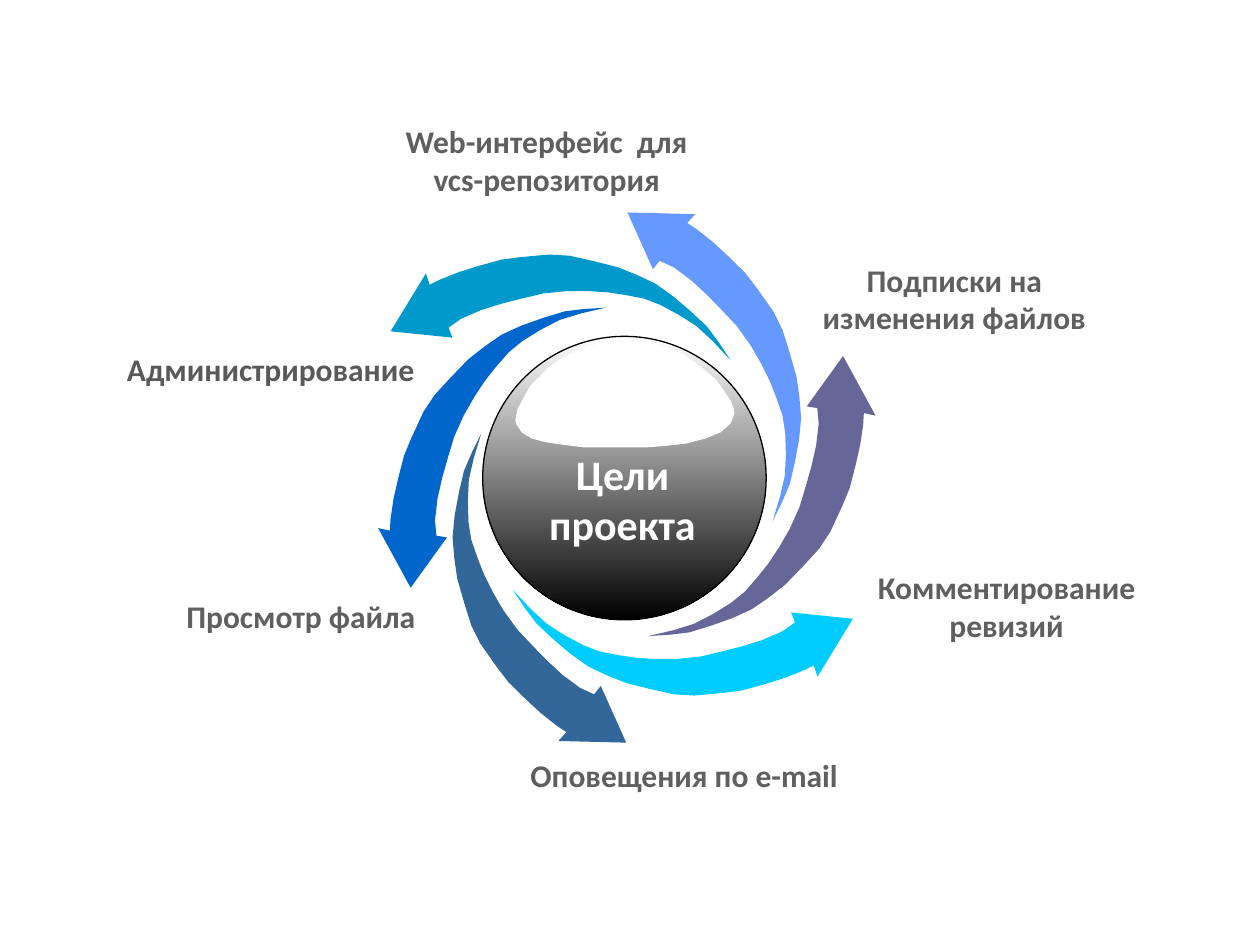
from pptx import Presentation
from pptx import util as u
from pptx.dml.color import RGBColor
from pptx.enum import shapes, text

Pt = u.Pt

THEME = {
    "font": "Calibri",
    "label_size": 18,
    "center_size": 24,
    "label": "5F5F5F",
    "label_dark": "595959",
    "white": "FFFFFF",
    "black": "000000",
}

# left, top, colour; each arrow turns 60 degrees further than the one before
ARROWS = [
    (293, 337, "00CCFF"),
    (200.2, 316.8, "336699"),
    (174.2, 214.6, "0066CC"),
    (223.2, 145.4, "0099CC"),
    (321.8, 168.5, "6699FF"),
    (347.8, 264.2, "666699"),
]
ARROW_TURN = 60
ARROW_OUTLINE = [
    # head
    (161.3, 18.7), (159.1, 13), (194.4, 16.6), (174.2, 49.7), (172.1, 43.2),
    # outer edge
    (166.3, 46.1), (155.5, 50.4), (144, 54), (131, 57.6), (120.2, 59),
    (109.4, 60), (103.7, 60.5), (92.2, 59.8), (79.2, 56.9), (64.8, 53.3),
    (54, 49), (43.2, 43.9), (33.1, 36.7), (23, 28.1), (13.7, 19.4),
    (7.2, 10.8), (0, 0),
    # inner edge
    (10.1, 10.8), (19.4, 19.4), (29.5, 25.9), (40.3, 31.7), (49.7, 35.3),
    (60.5, 37.4), (70.6, 38.9), (81.4, 39.6), (93.6, 39.6), (107.3, 38.2),
    (119.5, 35.3), (131, 32.4), (142.6, 28.8), (154.1, 23.8),
]

BALL = (275.8, 192.2, 162, 162)
GLOSS_AT = (294.5, 194.4)
GLOSS_OUTLINE = [
    (124.6, 38.2), (125.3, 41.8), (123.1, 47.5), (117.4, 52.6), (108.7, 56.2),
    (97.9, 59), (85, 60.5), (75.6, 61.2), (38.9, 61.2), (27.4, 59.8),
    (17.3, 58.3), (9.4, 56.2), (3.6, 52.6), (0.7, 48.2), (0, 45.4),
    (1.4, 38.9), (5, 32.4), (8.6, 25.9), (13.7, 20.9), (19.4, 15.1),
    (25.9, 10.8), (32.4, 7.2), (39.6, 4.3), (46.8, 2.2), (54.7, 0.7),
    (63.4, 0), (72, 0.7), (79.9, 2.2), (88.6, 5), (95.8, 7.9),
    (102.2, 12.2), (108.7, 17.3), (114.5, 22.3), (118.8, 28.1), (123.1, 34.6),
]

CENTER, LEFT = text.PP_ALIGN.CENTER, text.PP_ALIGN.LEFT
LABEL = {"size": "label_size", "color": "label", "align": CENTER, "wrap": False}
# box (left, top, width, height), lines, differences from LABEL
LABELS = [
    ((493.9, 321.1, 162.7, 51), ["Комментирование", "ревизий"], {}),
    ((223.9, 66.2, 177.1, 51), ["Web-интерфейс  для", "vcs-репозитория"], {}),
    ((65.5, 196.6, 180, 29), ["Администрирование"],
     {"align": LEFT, "color": "label_dark"}),
    ((99.4, 337.7, 198, 29), ["Просмотр файла"], {"align": LEFT, "wrap": True}),
    ((295.2, 428.4, 191.5, 29), ["Оповещения по e-mail"], {}),
    ((280.8, 252.7, 149.8, 65.5), ["Цели проекта"],
     {"size": "center_size", "color": "white", "wrap": True}),
    ((462.2, 145.4, 166.3, 51), ["Подписки на", "изменения файлов"], {"wrap": True}),
]


def rgb(value):
    return RGBColor.from_string(value)


def add_outline(parent, points, left, top, color):
    """Add a closed, filled freeform whose points are relative to left, top."""
    scaled = [(Pt(x), Pt(y)) for x, y in points]
    builder = parent.build_freeform(*scaled[0])
    builder.add_line_segments(scaled[1:], close=True)
    shape = builder.convert_to_shape(Pt(left), Pt(top))
    shape.shadow.inherit = False
    shape.fill.solid()
    shape.fill.fore_color.rgb = rgb(color)
    shape.line.fill.background()
    return shape


def add_ball(slide):
    group = slide.shapes.add_group_shape()
    ball = group.shapes.add_shape(shapes.MSO_SHAPE.OVAL, *map(Pt, BALL))
    ball.shadow.inherit = False
    ball.fill.gradient()
    ball.fill.gradient_angle = 270
    for stop, color in zip(ball.fill.gradient_stops, ("white", "black")):
        stop.color.rgb = rgb(THEME[color])
    ball.line.color.rgb = rgb(THEME["black"])
    ball.line.width = Pt(0.75)
    add_outline(group.shapes, GLOSS_OUTLINE, *GLOSS_AT, THEME["white"])


def add_label(slide, box, lines, changes):
    style = {**LABEL, **changes}
    frame = slide.shapes.add_textbox(*map(Pt, box)).text_frame
    frame.word_wrap = style["wrap"]
    frame.auto_size = text.MSO_AUTO_SIZE.SHAPE_TO_FIT_TEXT
    frame.text = "\n".join(lines)
    font_format = {"name": THEME["font"], "size": Pt(THEME[style["size"]]), "bold": True}
    for paragraph in frame.paragraphs:
        paragraph.alignment = style["align"]
        font = paragraph.runs[0].font
        for name, value in font_format.items():
            setattr(font, name, value)
        font.color.rgb = rgb(THEME[style["color"]])


def main():
    presentation = Presentation()
    presentation.slide_width, presentation.slide_height = Pt(720), Pt(540)
    slide = presentation.slides.add_slide(presentation.slide_layouts[6])
    for index, (left, top, color) in enumerate(ARROWS):
        arrow = add_outline(slide.shapes, ARROW_OUTLINE, left, top, color)
        arrow.rotation = index * ARROW_TURN
    add_ball(slide)
    for label in LABELS:
        add_label(slide, *label)
    presentation.save("out.pptx")


if __name__ == "__main__":
    main()
